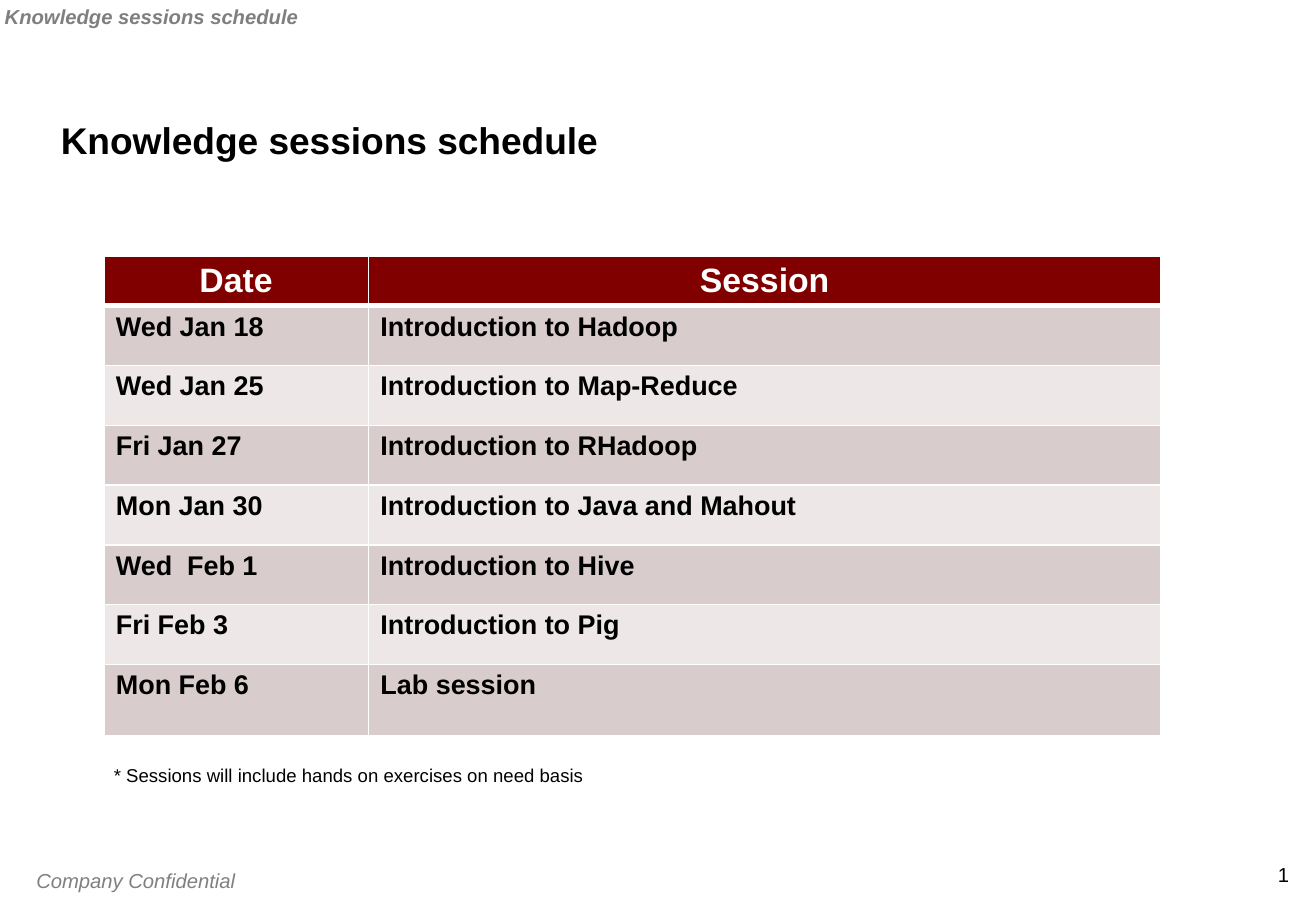
from lxml import etree
from pptx import Presentation
from pptx import util as u
from pptx.dml.color import RGBColor
from pptx.enum import text
from pptx.oxml.ns import qn


def style(paragraph, size, color, bold=False, italic=False, align=text.PP_ALIGN.LEFT):
    paragraph.alignment = align
    font = paragraph.font
    font.name = "Arial"
    font.size = u.Pt(size)
    font.bold = bold
    font.italic = italic
    font.color.rgb = RGBColor.from_string(color)


def set_insets(frame, horizontal, vertical):
    frame.margin_left = frame.margin_right = u.Cm(horizontal)
    frame.margin_top = frame.margin_bottom = u.Cm(vertical)


presentation = Presentation()
presentation.slide_width = u.Cm(27.51)
presentation.slide_height = u.Cm(19.05)
slide = presentation.slides.add_slide(presentation.slide_layouts[5])

title = slide.shapes.title
title.left, title.top, title.width, title.height = u.Cm(1.27), u.Cm(1.07), u.Cm(24.97), u.Cm(2.34)
title.text_frame.text = "Knowledge sessions schedule"
title.text_frame.auto_size = text.MSO_AUTO_SIZE.NONE
title.text_frame.vertical_anchor = text.MSO_ANCHOR.BOTTOM
set_insets(title.text_frame, 0, 0)
title_paragraph = title.text_frame.paragraphs[0]
title_paragraph.line_spacing = 0.9
style(title_paragraph, 22, "000000", bold=True)

sessions = [
    ("Date", "Session"),
    ("Wed Jan 18", "Introduction to Hadoop"),
    ("Wed Jan 25", "Introduction to Map-Reduce"),
    ("Fri Jan 27", "Introduction to RHadoop"),
    ("Mon Jan 30", "Introduction to Java and Mahout"),
    ("Wed  Feb 1", "Introduction to Hive"),
    ("Fri Feb 3", "Introduction to Pig"),
    ("Mon Feb 6", "Lab session"),
]
column_widths = [5.53, 16.57]
row_heights = [1.02] + [1.25] * 6 + [1.5]
table = slide.shapes.add_table(
    len(sessions), 2, u.Cm(2.17), u.Cm(5.35), u.Cm(sum(column_widths)), u.Cm(sum(row_heights))
).table
for column, width in zip(table.columns, column_widths):
    column.width = u.Cm(width)

for row_index, (row, height, values) in enumerate(zip(table.rows, row_heights, sessions)):
    row.height = u.Cm(height)
    is_header = row_index == 0
    fill_color = "800000" if is_header else ("EDE7E7", "D8CCCC")[row_index % 2]
    for cell, value in zip(row.cells, values):
        cell.text = value
        if is_header:
            style(cell.text_frame.paragraphs[0], 20, "FFFFFF", bold=True, align=text.PP_ALIGN.CENTER)
        else:
            style(cell.text_frame.paragraphs[0], 16, "000000", bold=True)
        properties = cell._tc.get_or_add_tcPr()
        for side in "LRTB":
            thick = (is_header and side == "B") or (row_index == 1 and side == "T")
            line = etree.SubElement(properties, qn(f"a:ln{side}"), w=str(u.Pt(3 if thick else 1)))
            line_fill = etree.SubElement(line, qn("a:solidFill"))
            etree.SubElement(line_fill, qn("a:srgbClr"), val="FFFFFF")
        cell.fill.solid()
        cell.fill.fore_color.rgb = RGBColor.from_string(fill_color)

left, right = text.PP_ALIGN.LEFT, text.PP_ALIGN.RIGHT
top, middle = text.MSO_ANCHOR.TOP, text.MSO_ANCHOR.MIDDLE
labels = [
    ("Knowledge sessions schedule", (0, 0, 6.5, 0.69), (0.1, 0.13), 12, "7F7F7F", True, True, left, middle),
    ("* Sessions will include hands on exercises on need basis",
     (2.13, 15.85, 21.62, 0.74), (0.25, 0.13), 11, "000000", False, False, left, top),
    ("Company Confidential", (0.51, 18.03, 5.08, 0.76), (0.25, 0.13), 12, "808080", False, True, left, top),
    ("1", (26.42, 18.03, 0.53, 0.51), (0, 0), 12, "000000", False, False, right, top),
]
for wording, place, insets, size, color, bold, italic, align, anchor in labels:
    label = slide.shapes.add_textbox(*(u.Cm(length) for length in place))
    frame = label.text_frame
    frame.text = wording
    frame.word_wrap = True
    frame.vertical_anchor = anchor
    set_insets(frame, *insets)
    style(frame.paragraphs[0], size, color, bold, italic, align)

presentation.save("out.pptx")
